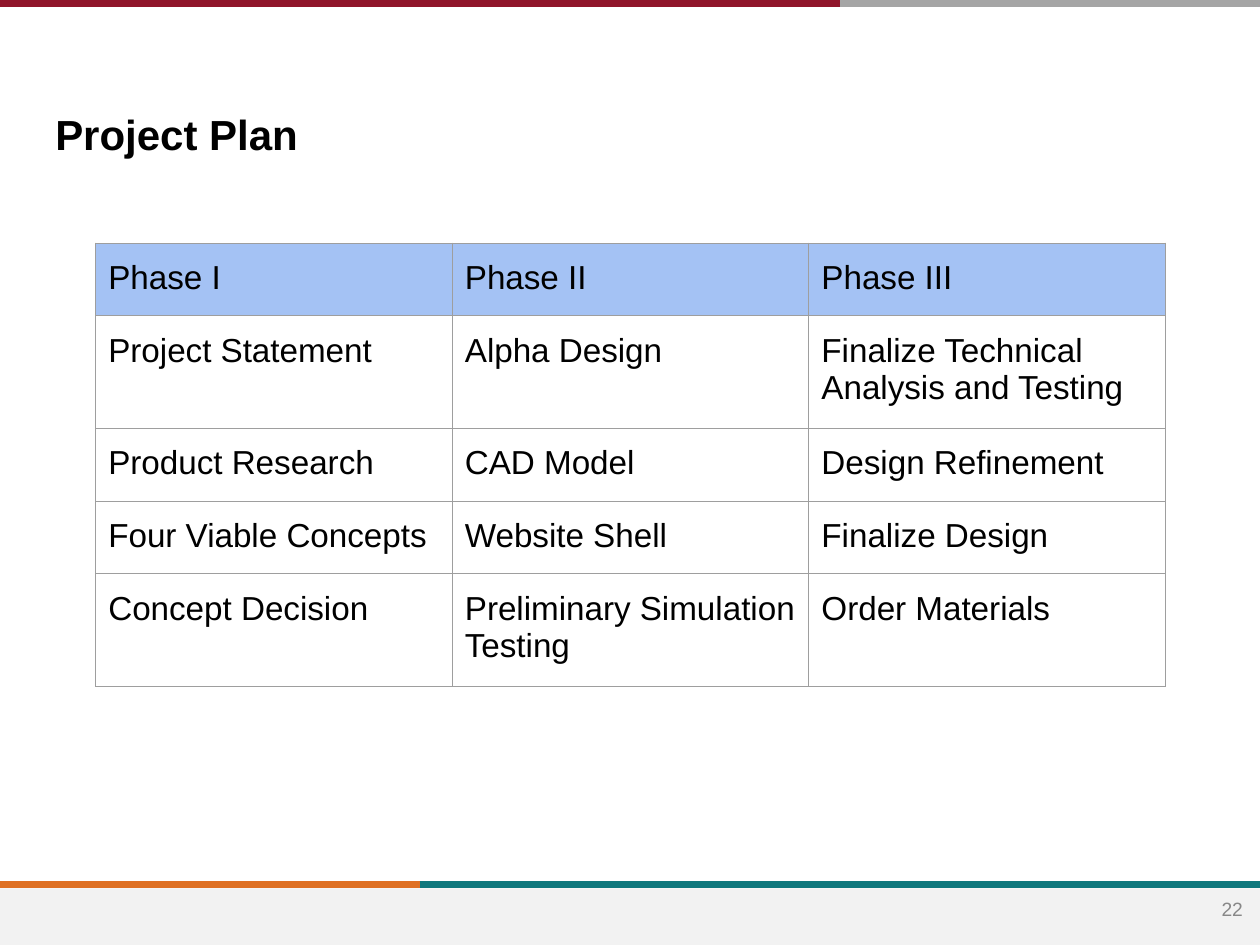
from lxml import etree
from pptx import Presentation
from pptx.dml.color import RGBColor
from pptx.enum.shapes import MSO_CONNECTOR, MSO_SHAPE
from pptx.enum.text import MSO_ANCHOR, PP_ALIGN
from pptx.oxml.ns import qn
from pptx.util import Inches, Pt

STRAIGHT = MSO_CONNECTOR.STRAIGHT
RECTANGLE = MSO_SHAPE.RECTANGLE
MIDDLE = MSO_ANCHOR.MIDDLE
LEFT, CENTER = PP_ALIGN.LEFT, PP_ALIGN.CENTER

TITLE = "Project Plan"
PAGE_NUMBER = "22"
PLAN = [
    ("Phase I", "Phase II", "Phase III"),
    ("Project Statement", "Alpha Design", "Finalize Technical Analysis and Testing"),
    ("Product Research", "CAD Model", "Design Refinement"),
    ("Four Viable Concepts", "Website Shell", "Finalize Design"),
    ("Concept Decision", "Preliminary Simulation Testing", "Order Materials"),
]
HEADER_FILL, GRID_COLOR = "A4C2F4", "9E9E9E"
TABLE_LEFT, TABLE_TOP = 0.76, 1.93
COLUMN_WIDTH, ROW_HEIGHT = 2.83, 0.56
CELL_MARGINS = {"margin_left": 0.1, "margin_right": 0.1,
                "margin_top": 0.13, "margin_bottom": 0.13}

# start x, end x, y, colour
STRIPES = [
    (0, 3.33, 7.02, "DF7023"),
    (3.33, 10, 7.02, "0F787D"),
    (6.67, 10, 0.03, "A5A5A5"),
    (0, 6.67, 0.03, "90152A"),
]


def rgb(color):
    return RGBColor.from_string(color)


def write(frame, text, size, color="000000", bold=False, align=LEFT):
    frame.word_wrap = True
    paragraph = frame.paragraphs[0]
    paragraph.text = text
    paragraph.alignment = align
    for name, value in {"name": "Arial", "size": Pt(size), "bold": bold}.items():
        setattr(paragraph.font, name, value)
    paragraph.font.color.rgb = rgb(color)


def add_label(slide, box, text, margin_y, **text_format):
    frame = slide.shapes.add_textbox(*map(Inches, box)).text_frame
    frame.vertical_anchor = MIDDLE
    frame.margin_top = frame.margin_bottom = Inches(margin_y)
    write(frame, text, **text_format)


def add_stripe(slide, start, end, y, color):
    stripe = slide.shapes.add_connector(
        STRAIGHT, Inches(start), Inches(y), Inches(end), Inches(y))
    stripe.line.color.rgb = rgb(color)
    stripe.line.width = Pt(4)
    etree.SubElement(stripe._element.spPr, qn("a:effectLst"))


def add_borders(cell):
    properties = cell._tc.get_or_add_tcPr()
    for index, side in enumerate(("a:lnL", "a:lnR", "a:lnT", "a:lnB")):
        border = etree.Element(qn(side), w=str(Pt(0.75)))
        fill = etree.SubElement(border, qn("a:solidFill"))
        etree.SubElement(fill, qn("a:srgbClr"), val=GRID_COLOR)
        properties.insert(index, border)


def add_plan(slide):
    row_count, column_count = len(PLAN), len(PLAN[0])
    table = slide.shapes.add_table(
        row_count, column_count, Inches(TABLE_LEFT), Inches(TABLE_TOP),
        Inches(COLUMN_WIDTH * column_count), Inches(ROW_HEIGHT * row_count)).table
    table.first_row = table.horz_banding = False
    for column in table.columns:
        column.width = Inches(COLUMN_WIDTH)
    for row_index, (row, entries) in enumerate(zip(table.rows, PLAN)):
        row.height = Inches(ROW_HEIGHT)
        for cell, entry in zip(row.cells, entries):
            for name, value in CELL_MARGINS.items():
                setattr(cell, name, Inches(value))
            write(cell.text_frame, entry, size=19)
            if row_index == 0:
                cell.fill.solid()
                cell.fill.fore_color.rgb = rgb(HEADER_FILL)
            else:
                cell.fill.background()
            add_borders(cell)


def main():
    deck = Presentation()
    deck.slide_width, deck.slide_height = Inches(10), Inches(7.5)
    slide = deck.slides.add_slide(deck.slide_layouts[6])

    for stripe in STRIPES:
        add_stripe(slide, *stripe)
    footer = slide.shapes.add_shape(
        RECTANGLE, Inches(0), Inches(7.05), Inches(10), Inches(0.45))
    footer.shadow.inherit = False
    footer.fill.solid()
    footer.fill.fore_color.rgb = rgb("F2F2F2")
    footer.line.fill.background()

    add_label(slide, (0.34, 0.65, 9.32, 0.83), TITLE, 0.1, size=24, bold=True)
    add_label(slide, (9.48, 6.93, 0.6, 0.57), PAGE_NUMBER, 0.05,
              size=11, color="888888", align=CENTER)
    add_plan(slide)
    deck.save("out.pptx")


if __name__ == "__main__":
    main()
